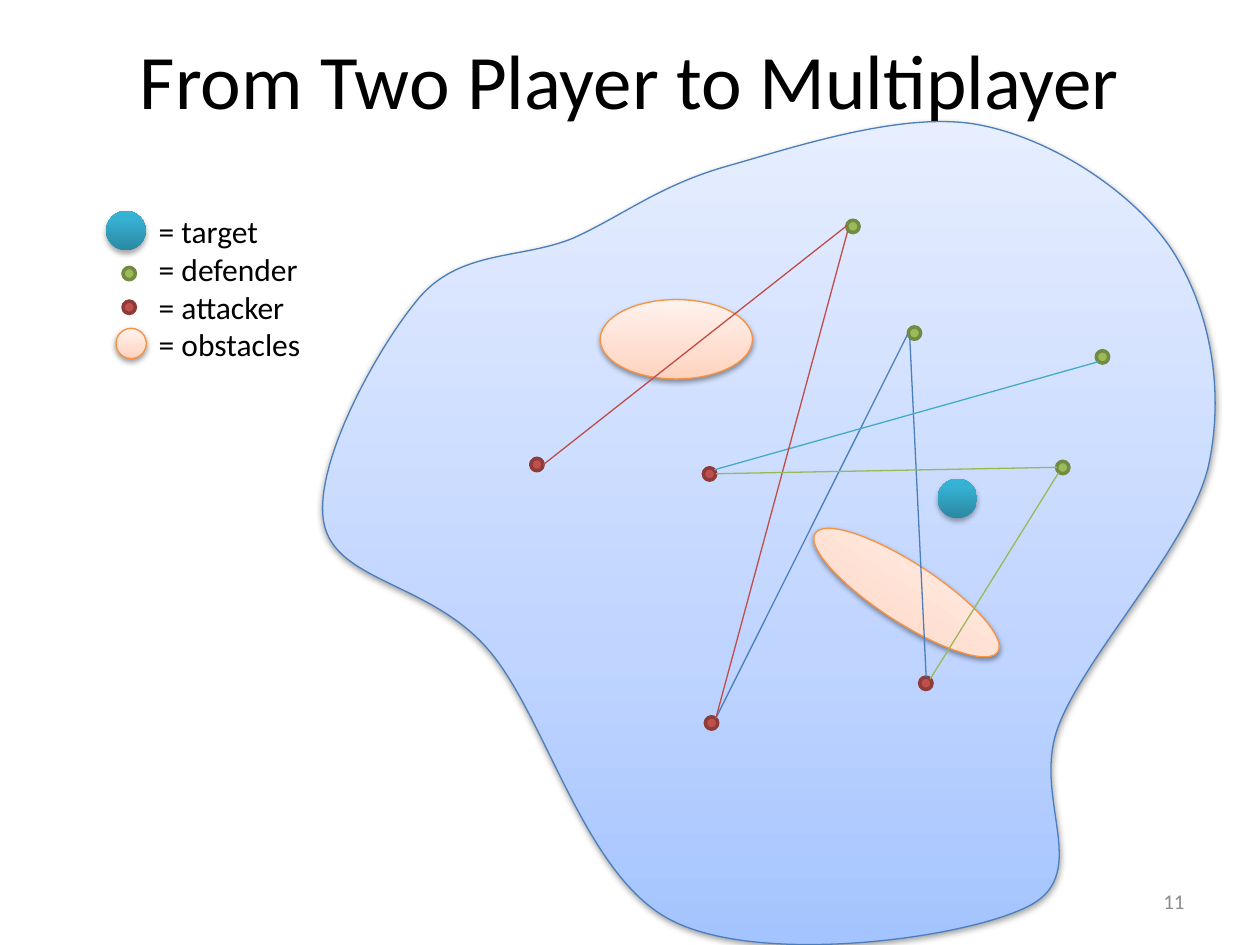
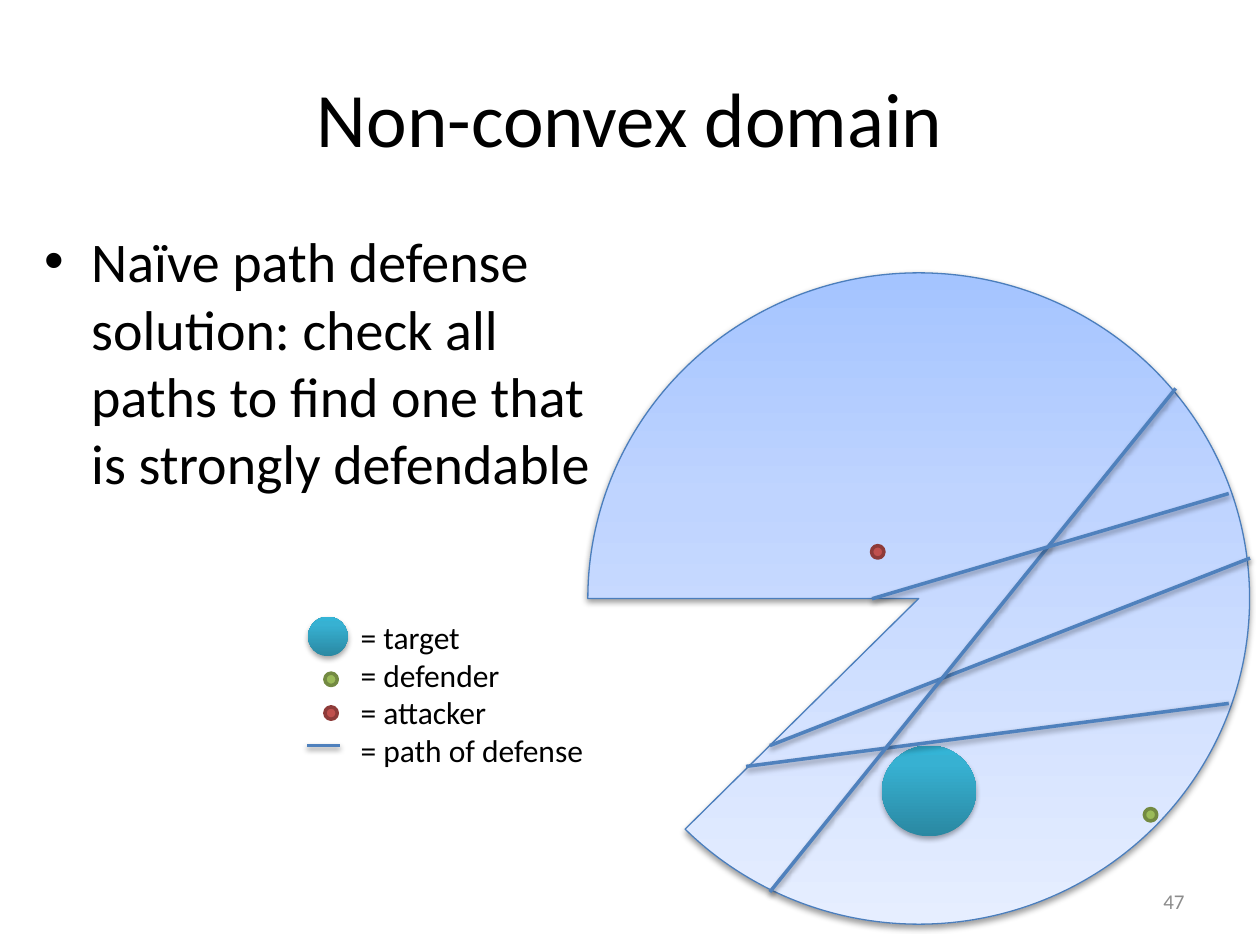
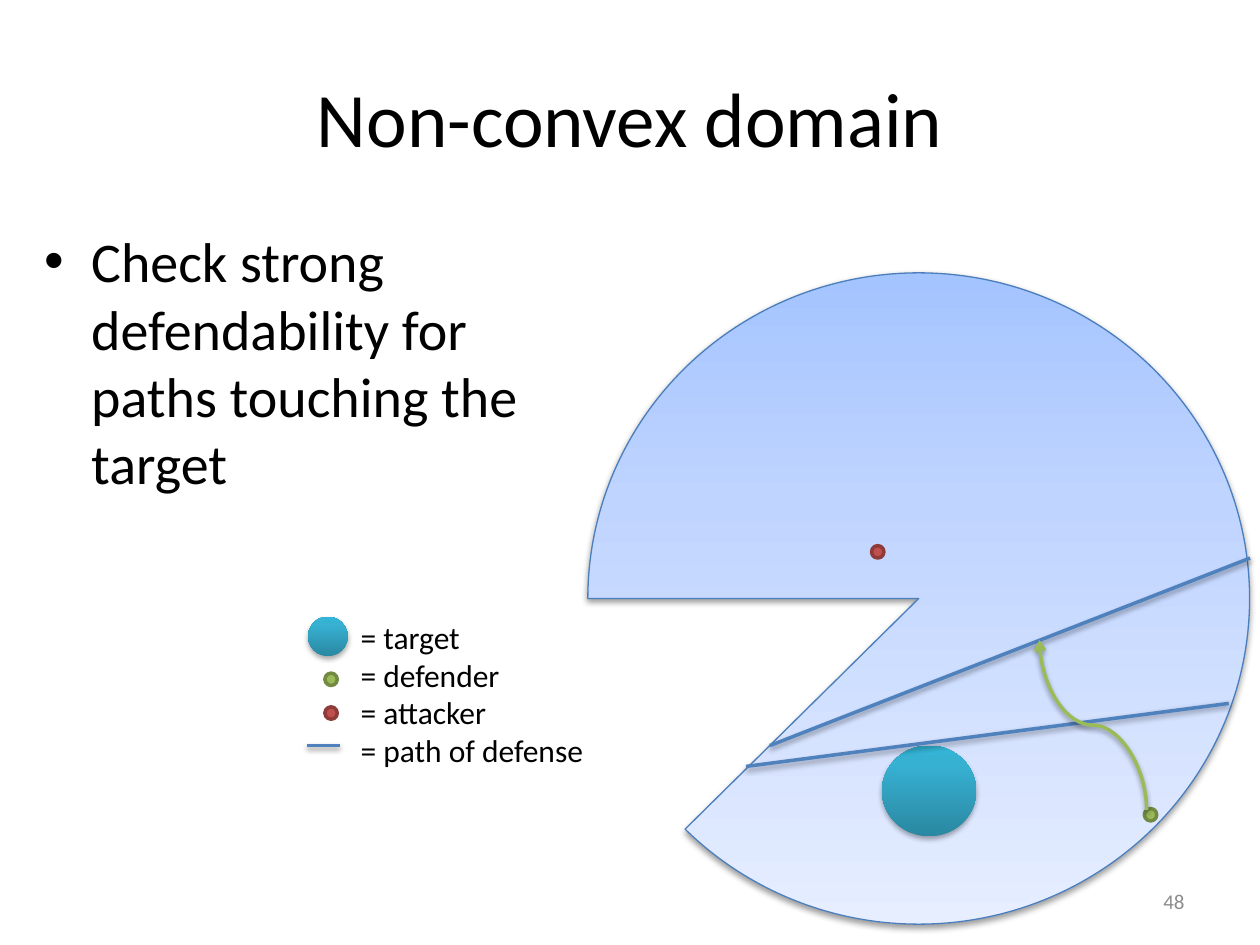
from copy import deepcopy

from lxml import etree
from pptx import Presentation, util as u
from pptx.dml import color as dml_color
from pptx.enum import shapes, text
from pptx.oxml import ns

ORANGE = ("FFD2BD", "FFDED0", "FFF2ED")
BLUE = ("A4C4FF", "BFD4FF", "E6EEFF")
TEAL = ("2A88A2", "37B1D2", "34B4D6")
BLACK, GREY = "000000", "8C8C8C"
DOT, TARGET = 0.25, 0.8

STYLES = {
    "domain": (BLUE, 35, "4B7EBC", 0.75, (38, 20000)),
    "obstacle": (ORANGE, 35, "F69240", 0.75, (38, 20000)),
    "target": (TEAL, 80, None, 0, (35, 23000)),
    "defender": ("9BBB59", 0, "738A42", 2, None),
    "attacker": ("C0504D", 0, "8E3B39", 2, None),
    "path of defense": (None, 0, "4F81BD", 2, (38, 20000)),
    "defender route": (None, 0, "9BBB59", 2, (38, 20000)),
    "blue sight": (None, 0, "4B7EBC", 0.75, None),
    "teal sight": (None, 0, "46AAC5", 0.75, None),
    "red sight": (None, 0, "BF4C48", 0.75, None),
    "green sight": (None, 0, "98B955", 0.75, None),
}


def rgb(value):
    return dml_color.RGBColor.from_string(value)


def dress(item, style):
    fill, middle, line, width, shadow = STYLES[style]
    properties = item._element.spPr
    if isinstance(fill, tuple):
        item.fill.gradient()
        item.fill.gradient_angle = 90
        stops = properties.find(".//" + ns.qn("a:gsLst"))
        stops.append(deepcopy(stops[-1]))
        for stop, value, place in zip(item.fill.gradient_stops, fill, (0, middle, 100)):
            stop.color.rgb = rgb(value)
            stop.position = place / 100
    elif fill:
        item.fill.solid()
        item.fill.fore_color.rgb = rgb(fill)
    if line:
        item.line.color.rgb = rgb(line)
        item.line.width = u.Pt(width)
    else:
        item.line.fill.background()
    effects = etree.SubElement(properties, ns.qn("a:effectLst"))
    if shadow:
        alpha, distance = shadow
        outer = etree.SubElement(effects, ns.qn("a:outerShdw"), blurRad="40000",
                                 dist=str(distance), dir="5400000", rotWithShape="0")
        black = etree.SubElement(outer, ns.qn("a:srgbClr"), val=BLACK)
        etree.SubElement(black, ns.qn("a:alpha"), val=str(alpha * 1000))


blob_left, blob_top, blob_right, blob_bottom = 6.5, 2.44, 24.51, 19.05
blob_curves = [
    ("moveTo", [(14.66, 3.35)]),
    ("cubicBezTo", [(16, 2.97), (18.19, 2.24), (19.69, 2.51)]),
    ("cubicBezTo", [(21.16, 2.77), (22.81, 3.84), (23.6, 5)]),
    ("cubicBezTo", [(24.36, 6.15), (24.71, 7.8), (24.36, 9.4)]),
    ("cubicBezTo", [(23.98, 11), (21.95, 13.11), (21.36, 14.58)]),
    ("cubicBezTo", [(20.75, 16.05), (22.05, 17.58), (20.75, 18.26)]),
    ("cubicBezTo", [(19.48, 18.92), (15.42, 19.46), (13.61, 18.59)]),
    ("cubicBezTo", [(11.79, 17.75), (11.02, 14.43), (9.83, 13.08)]),
    ("cubicBezTo", [(8.66, 11.73), (6.76, 11.73), (6.53, 10.54)]),
    ("cubicBezTo", [(6.3, 9.35), (7.65, 6.93), (8.48, 5.97)]),
    ("cubicBezTo", [(9.32, 5.03), (10.52, 5.23), (11.56, 4.8)]),
    ("cubicBezTo", [(12.57, 4.34), (13.31, 3.73), (14.66, 3.35)]),
    ("close", []),
]

multiplayer_ovals = [
    ("obstacle", 16.08, 11.35, 4.39, 1.19, 33),
    ("obstacle", 12.1, 6.04, 3.07, 1.6, 0),
    ("target", 18.9, 9.65, TARGET, TARGET, 0),
]
multiplayer_ovals += [("attacker", x, y, DOT, DOT, 0) for x, y in
                      [(10.7, 9.24), (14.18, 9.43), (14.22, 14.45), (18.54, 13.65)]]
multiplayer_ovals += [("defender", x, y, DOT, DOT, 0) for x, y in
                      [(18.31, 6.59), (22.1, 7.07), (17.07, 4.44), (21.3, 9.3)]]
multiplayer_lines = [
    ("blue sight", 18.34, 6.81, 18.67, 13.64),
    ("blue sight", 18.31, 6.71, 14.43, 14.48),
    ("teal sight", 22.15, 7.29, 14.4, 9.47),
    ("red sight", 17.09, 4.65, 14.43, 14.48),
    ("red sight", 17.07, 4.55, 10.95, 9.37),
    ("green sight", 21.31, 9.42, 14.43, 9.55),
    ("green sight", 21.34, 9.53, 18.75, 13.69),
]
pie_ovals = [
    ("defender", 23.07, 16.3, DOT, DOT, 0),
    ("attacker", 17.57, 11, DOT, DOT, 0),
    ("target", 17.78, 15.03, 1.9, 1.83, 0),
]
touching_paths = [
    ("path of defense", 15.52, 15.03, 25.2, 11.25),
    ("path of defense", 15.04, 15.45, 24.77, 14.18),
]
other_paths = [
    ("path of defense", 15.52, 17.98, 23.7, 7.83),
    ("path of defense", 17.58, 12.07, 24.77, 9.95),
]
legend_ovals = [
    ("target", -0.81, 0.1, TARGET),
    ("defender", -0.47, 1.24, DOT),
    ("attacker", -0.47, 1.92, DOT),
    ("obstacle", -0.61, 2.47, 0.61),
]

pages = [
    ("From Two Player to Multiplayer", 0, None, "11", "blob", (2.95, 4.15, 4.19),
     "obstacles", multiplayer_ovals, multiplayer_lines),
    ("Non-convex domain", 0.76,
     "Naïve path defense solution: check all paths to find one that is strongly defendable",
     "47", "pie", (7.02, 12.33, 5.46), "path of defense", pie_ovals,
     touching_paths + other_paths),
    ("Non-convex domain", 0.76,
     "Check strong defendability for paths touching the target",
     "48", "pie", (7.02, 12.33, 5.46), "path of defense", pie_ovals,
     touching_paths + [("defender route", 20.32, 15.7, 23.75, 13.54)]),
]

deck = Presentation()
deck.slide_width, deck.slide_height = u.Cm(25.4), u.Cm(19.05)
left, center, right = text.PP_ALIGN.LEFT, text.PP_ALIGN.CENTER, text.PP_ALIGN.RIGHT
top, middle = text.MSO_ANCHOR.TOP, text.MSO_ANCHOR.MIDDLE

for title, title_top, bullet, number, domain, legend, last_entry, ovals, lines in pages:
    page = deck.slides.add_slide(deck.slide_layouts[6])
    legend_left, legend_top, legend_width = legend
    entries = [f"= {name}" for name in ("target", "defender", "attacker", last_entry)]

    boxes = [
        ((1.27, title_top, 22.86, 3.18), [title], 44, BLACK, center, middle),
        ((legend_left, legend_top, legend_width, 3.33), entries, 18, BLACK, left, top),
        ((18.21, 17.65, 5.92, 1.02), [number], 12, GREY, right, middle),
    ]
    if bullet:
        boxes.insert(1, ((0.64, 4.45, 11.63, 12.57), [bullet], 32, BLACK, left, top))
    for place, words, size, ink, align, anchor in boxes:
        box = page.shapes.add_textbox(*[u.Cm(length) for length in place])
        frame = box.text_frame
        frame.word_wrap = True
        frame.vertical_anchor = anchor
        for index, line_text in enumerate(words):
            para = frame.add_paragraph() if index else frame.paragraphs[0]
            para.alignment = align
            if line_text == bullet:
                indents = para._p.get_or_add_pPr()
                indents.set("marL", str(u.Cm(0.95)))
                indents.set("indent", str(u.Cm(-0.95)))
                etree.SubElement(indents, ns.qn("a:buFont"), typeface="Arial")
                etree.SubElement(indents, ns.qn("a:buChar"), char="•")
            span = para.add_run()
            span.text = line_text
            span.font.name = "Calibri"
            span.font.size = u.Pt(size)
            span.font.color.rgb = rgb(ink)

    if domain == "blob":
        frame_corners = [(blob_right, blob_top), (blob_right, blob_bottom),
                         (blob_left, blob_bottom)]
        builder = page.shapes.build_freeform(u.Cm(blob_left), u.Cm(blob_top))
        builder.add_line_segments([(u.Cm(x), u.Cm(y)) for x, y in frame_corners])
        area = builder.convert_to_shape()
        outline = area._element.spPr.find(".//" + ns.qn("a:path"))
        for corner in list(outline):
            outline.remove(corner)
        for command, points in blob_curves:
            stroke = etree.SubElement(outline, ns.qn("a:" + command))
            for x, y in points:
                etree.SubElement(stroke, ns.qn("a:pt"), x=str(u.Cm(x - blob_left)),
                                 y=str(u.Cm(y - blob_top)))
    else:
        area = page.shapes.add_shape(shapes.MSO_SHAPE.PIE, u.Cm(11.85), u.Cm(5.5),
                                     u.Cm(13.34), u.Cm(13.13))
        area.adjustments[0] = 0
        area.adjustments[1] = 189.22
        area.rotation = 180
    dress(area, "domain")

    markers = [(style, legend_left + x, legend_top + y, size, size, 0)
               for style, x, y, size in legend_ovals
               if style != "obstacle" or last_entry == "obstacles"]
    for style, x, y, width, height, turn in ovals + markers:
        oval = page.shapes.add_shape(shapes.MSO_SHAPE.OVAL, u.Cm(x), u.Cm(y),
                                     u.Cm(width), u.Cm(height))
        oval.rotation = turn
        dress(oval, style)

    samples = []
    if last_entry == "path of defense":
        samples.append((last_entry, legend_left - 0.83, legend_top + 2.7,
                        legend_left - 0.17, legend_top + 2.7))
    for style, *ends in lines + samples:
        curved = style == "defender route"
        kind = shapes.MSO_CONNECTOR.CURVE if curved else shapes.MSO_CONNECTOR.STRAIGHT
        line = page.shapes.add_connector(kind, *[u.Cm(length) for length in ends])
        dress(line, style)
        if curved:
            line._element.spPr.find(ns.qn("a:xfrm")).set("rot", "16200000")
            etree.SubElement(line._element.spPr.find(ns.qn("a:ln")),
                             ns.qn("a:tailEnd"), type="arrow")

deck.save("out.pptx")
